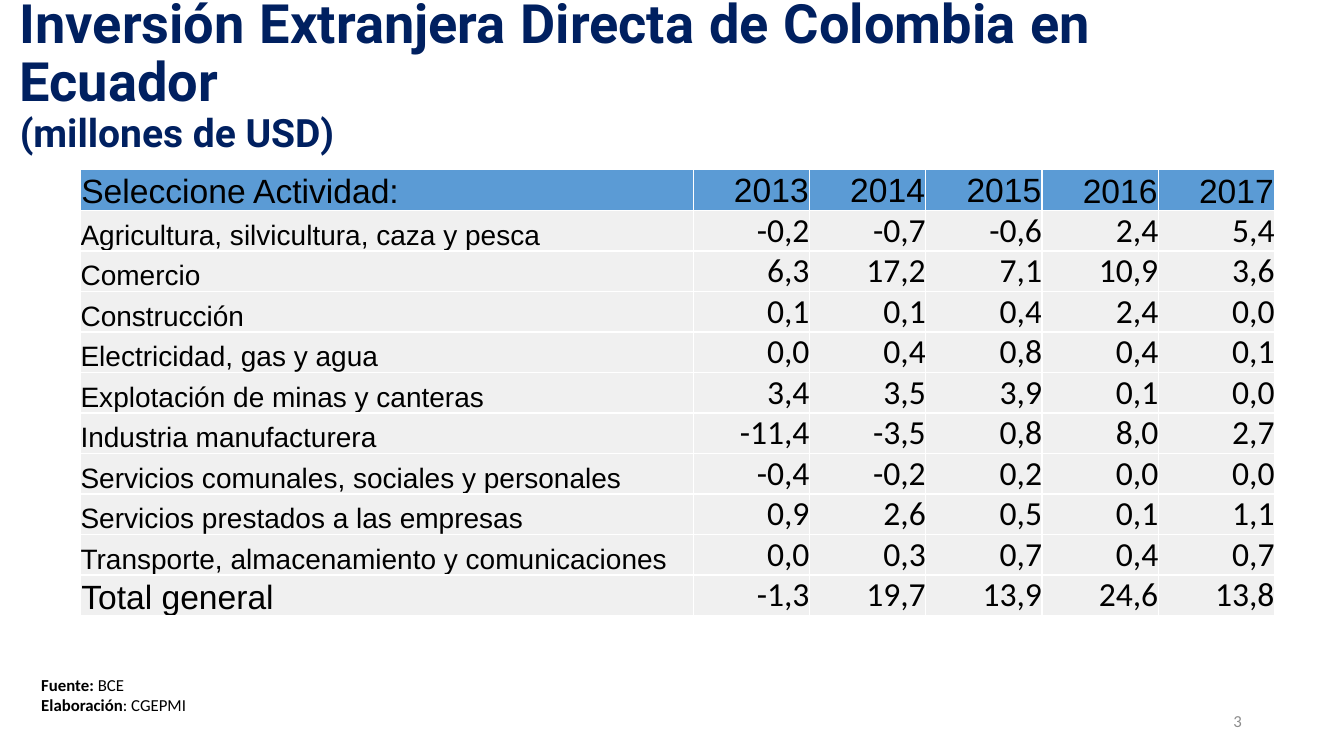
from dataclasses import dataclass

from lxml import etree
from pptx import Presentation
from pptx.dml.color import RGBColor
from pptx.enum import text
from pptx.oxml import ns
from pptx.util import Cm, Pt


@dataclass(frozen=True)
class Theme:
    navy: str = "002060"
    black: str = "000000"
    grey: str = "8C8C8C"
    header_fill: str = "5B9BD5"
    body_fill: str = "F0F0F0"
    border: str = "FFFFFF"
    title_size: float = 38.7
    unit_size: float = 27.9
    large: float = 24
    label: float = 20
    small: float = 12


theme = Theme()
LEFT, RIGHT, JUSTIFY = text.PP_ALIGN.LEFT, text.PP_ALIGN.RIGHT, text.PP_ALIGN.JUSTIFY
TOP, MIDDLE, BOTTOM = text.MSO_ANCHOR.TOP, text.MSO_ANCHOR.MIDDLE, text.MSO_ANCHOR.BOTTOM


def write(para, words, *, size, font="Calibri", color=theme.black, bold=False, align=LEFT):
    para.alignment = align
    span = para.add_run()
    span.text = words
    span.font.name = font
    span.font.size = Pt(size)
    span.font.bold = bold
    span.font.color.rgb = RGBColor.from_string(color)


def add_box(left, top, width, height, anchor):
    """Add a wrapping text box, with lengths in centimetres, and return its text frame."""
    frame = page.shapes.add_textbox(Cm(left), Cm(top), Cm(width), Cm(height)).text_frame
    frame.word_wrap = True
    frame.vertical_anchor = anchor
    return frame


deck = Presentation()
deck.slide_width, deck.slide_height = Cm(33.87), Cm(19.05)
page = deck.slides.add_slide(deck.slide_layouts[6])

# Title
title = add_box(0.25, 0.08, 27.48, 3.68, MIDDLE).paragraphs[0]
title.line_spacing = 0.9
title_format = dict(font="Roboto", color=theme.navy, bold=True, align=JUSTIFY)
write(title, "Inversión Extranjera Directa de Colombia en Ecuador", size=theme.title_size, **title_format)
title.add_line_break()
write(title, "(millones de USD)", size=theme.unit_size, **title_format)

# Investment table
investment = [
    ("Seleccione Actividad:", "2013", "2014", "2015", "2016", "2017"),
    ("Agricultura, silvicultura, caza y pesca", "-0,2", "-0,7", "-0,6", "2,4", "5,4"),
    ("Comercio", "6,3", "17,2", "7,1", "10,9", "3,6"),
    ("Construcción", "0,1", "0,1", "0,4", "2,4", "0,0"),
    ("Electricidad, gas y agua", "0,0", "0,4", "0,8", "0,4", "0,1"),
    ("Explotación de minas y canteras", "3,4", "3,5", "3,9", "0,1", "0,0"),
    ("Industria manufacturera", "-11,4", "-3,5", "0,8", "8,0", "2,7"),
    ("Servicios comunales, sociales y personales", "-0,4", "-0,2", "0,2", "0,0", "0,0"),
    ("Servicios prestados a las empresas", "0,9", "2,6", "0,5", "0,1", "1,1"),
    ("Transporte, almacenamiento y comunicaciones", "0,0", "0,3", "0,7", "0,4", "0,7"),
    ("Total general", "-1,3", "19,7", "13,9", "24,6", "13,8"),
]
last_row = len(investment) - 1
row_height, label_width, year_width = Cm(1.02), Cm(15.44), Cm(2.93)
table = page.shapes.add_table(
    len(investment), len(investment[0]), Cm(2.03), Cm(4.27),
    label_width + 5 * year_width, row_height * len(investment),
).table
for number, column in enumerate(table.columns):
    column.width = year_width if number else label_width

for row, values in enumerate(investment):
    table.rows[row].height = row_height
    for column, value in enumerate(values):
        cell = table.cell(row, column)
        is_header, is_label = row == 0, column == 0
        inset = Cm(0.02) if is_header or (is_label and row == last_row) else 0
        cell.margin_left = cell.margin_right = cell.margin_top = inset
        cell.margin_bottom = 0
        cell.vertical_anchor = MIDDLE if is_header and column in (1, 2, 3) else BOTTOM
        write(
            cell.text_frame.paragraphs[0], value,
            size=theme.label if is_label and 0 < row < last_row else theme.large,
            font="Arial" if is_header or is_label else "Calibri",
            align=LEFT if is_label else RIGHT,
        )
        properties = cell._tc.get_or_add_tcPr()
        for side in ("a:lnL", "a:lnR", "a:lnT", "a:lnB"):
            line = etree.SubElement(properties, ns.qn(side), w=str(Pt(1)))
            fill = etree.SubElement(line, ns.qn("a:solidFill"))
            etree.SubElement(fill, ns.qn("a:srgbClr"), val=theme.border)
        cell.fill.solid()
        cell.fill.fore_color.rgb = RGBColor.from_string(
            theme.header_fill if is_header else theme.body_fill)

# Source and page number
source = add_box(0.79, 16.87, 14.45, 1.8, TOP)
credits = [("Fuente: ", "BCE"), ("Elaboración", ": CGEPMI")]
for number, (role, name) in enumerate(credits):
    para = source.add_paragraph() if number else source.paragraphs[0]
    write(para, role, size=theme.small, bold=True)
    write(para, name, size=theme.small)

page_number = add_box(23.93, 17.65, 7.62, 1.02, MIDDLE)
write(page_number.paragraphs[0], "3", size=theme.small, color=theme.grey, align=RIGHT)

deck.save("out.pptx")
